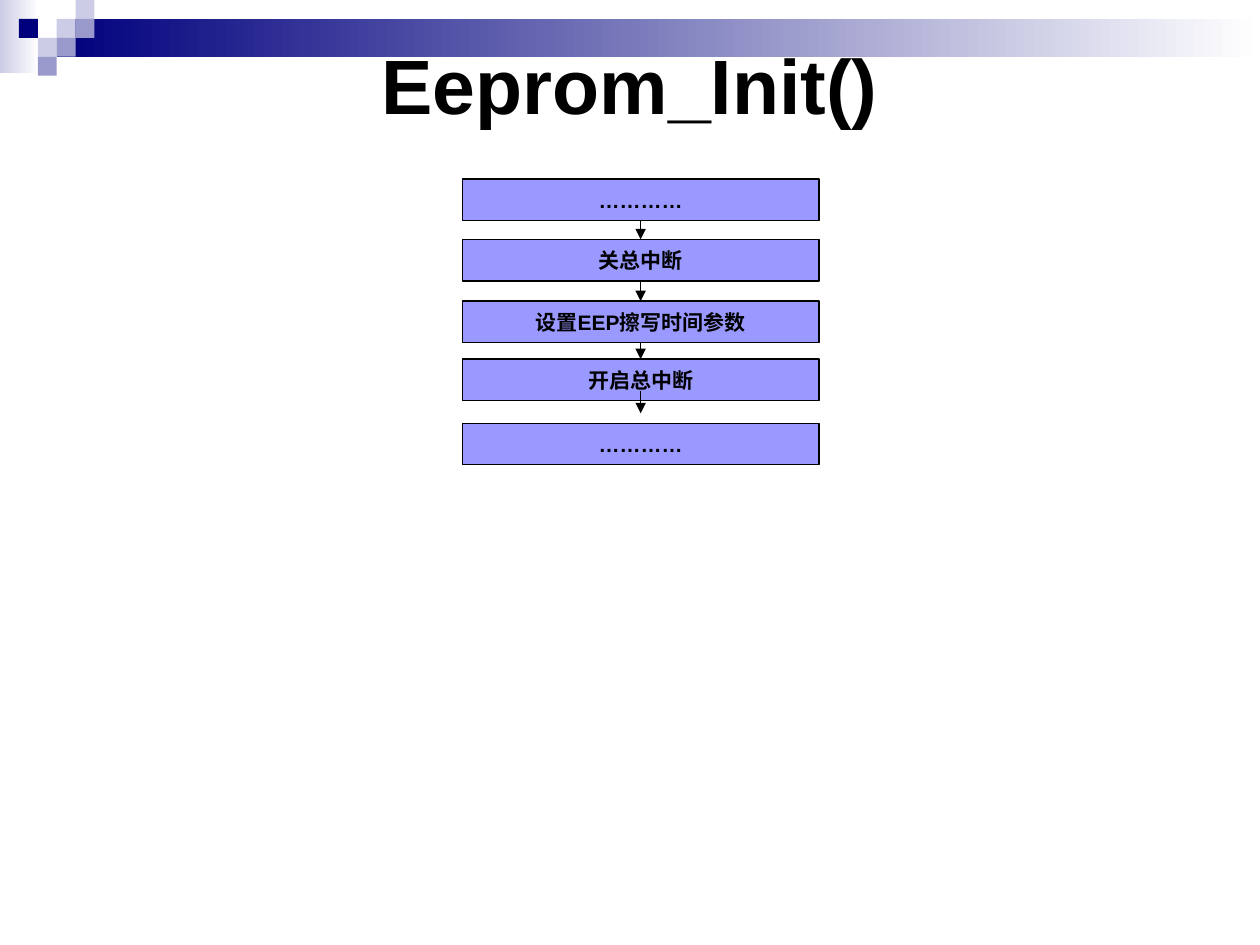
"""Build the Eeprom_Init() flow slide."""
from dataclasses import dataclass
from itertools import pairwise

from lxml.etree import SubElement
from pptx import Presentation
from pptx.dml.color import RGBColor
from pptx.enum.shapes import MSO_CONNECTOR, MSO_SHAPE
from pptx.enum.text import MSO_ANCHOR, PP_ALIGN
from pptx.oxml.ns import qn
from pptx.util import Inches, Pt


@dataclass(frozen=True)
class Theme:
    font: str = "Arial"
    text: str = "000000"
    line: str = "000000"
    box: str = "9999FF"
    navy: str = "00007D"
    pale: str = "CCCCE6"
    medium: str = "9999CC"
    white: str = "FFFFFF"
    title_size: int = 44
    box_size: int = 12
    line_width: float = 0.75


THEME = Theme()
WIDTH, HEIGHT = 10, 7.5
UNIT = 0.15
TITLE = "Eeprom_Init()"
TITLE_AREA = (0.5, 0.5, 0.9 * WIDTH, 0.33)
BANDS = [
    ((0, 0, 0.31, 0.58), THEME.pale),
    ((3 * UNIT, UNIT, WIDTH - 3 * UNIT, 2 * UNIT), THEME.navy),
]
SQUARES = [
    (3, 1, THEME.pale), (4, 0, THEME.pale), (4, 1, THEME.medium),
    (2, 2, THEME.pale), (1, 1, THEME.navy), (3, 2, THEME.medium),
    (2, 3, THEME.medium),
]
BOX_LEFT, BOX_WIDTH, BOX_HEIGHT = 3.67, 2.83, 0.33
STEPS = [
    ("…………", 1.42),
    ("关总中断", 1.9),
    ("设置EEP擦写时间参数", 2.39),
    ("开启总中断", 2.85),
    ("…………", 3.36),
]
LAST_ARROW = (3.1, 3.28)


def color(value):
    return RGBColor.from_string(value)


def add_rectangle(slide, area, fill):
    shape = slide.shapes.add_shape(MSO_SHAPE.RECTANGLE, *map(Inches, area))
    shape.shadow.inherit = False
    shape.fill.solid()
    shape.fill.fore_color.rgb = color(fill)
    shape.line.fill.background()
    return shape


def add_band(slide, area, start):
    shape = add_rectangle(slide, area, start)
    shape.fill.gradient()
    shape.fill.gradient_angle = 0
    for stop, value in zip(shape.fill.gradient_stops, (start, THEME.white)):
        stop.color.rgb = color(value)


def write(shape, text, size, wrap):
    frame = shape.text_frame
    frame.word_wrap = wrap
    frame.vertical_anchor = MSO_ANCHOR.MIDDLE
    paragraph = frame.paragraphs[0]
    paragraph.alignment = PP_ALIGN.CENTER
    run = paragraph.add_run()
    run.text = text
    run.font.name = THEME.font
    run.font.size = Pt(size)
    run.font.bold = True
    run.font.color.rgb = color(THEME.text)


def style_line(line):
    line.color.rgb = color(THEME.line)
    line.width = Pt(THEME.line_width)


def add_step(slide, text, top):
    shape = add_rectangle(slide, (BOX_LEFT, top, BOX_WIDTH, BOX_HEIGHT), THEME.box)
    style_line(shape.line)
    write(shape, text, THEME.box_size, False)
    return shape


def add_arrow(slide, start, end):
    middle = Inches(BOX_LEFT + BOX_WIDTH / 2)
    arrow = slide.shapes.add_connector(
        MSO_CONNECTOR.STRAIGHT, middle, Inches(start), middle, Inches(end))
    style_line(arrow.line)
    SubElement(arrow.line._get_or_add_ln(), qn("a:tailEnd"), type="triangle")
    SubElement(arrow._element.spPr, qn("a:effectLst"))
    return arrow


def main():
    presentation = Presentation()
    presentation.slide_width, presentation.slide_height = Inches(WIDTH), Inches(HEIGHT)
    slide = presentation.slides.add_slide(presentation.slide_layouts[6])
    for area, start in BANDS:
        add_band(slide, area, start)
    for column, row, fill in SQUARES:
        add_rectangle(slide, (column * UNIT, row * UNIT, UNIT, UNIT), fill)
    title = slide.shapes.add_textbox(*map(Inches, TITLE_AREA))
    write(title, TITLE, THEME.title_size, True)
    boxes = [add_step(slide, text, top) for text, top in STEPS]
    tops = [top for _, top in STEPS]
    for index, (upper, lower) in enumerate(pairwise(boxes[:-1])):
        arrow = add_arrow(slide, tops[index] + BOX_HEIGHT, tops[index + 1])
        arrow.begin_connect(upper, 2)
        arrow.end_connect(lower, 0)
    add_arrow(slide, *LAST_ARROW)
    presentation.save("out.pptx")


if __name__ == "__main__":
    main()
